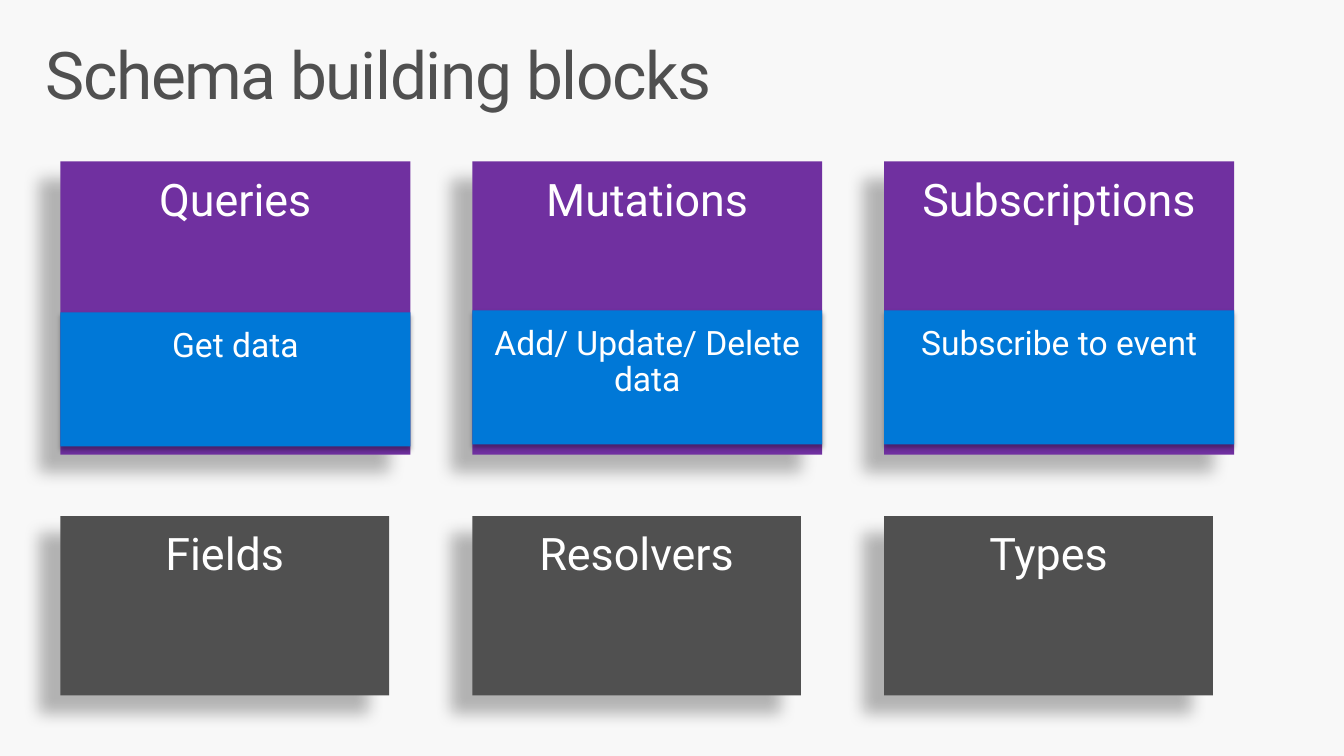
from dataclasses import dataclass

from lxml.etree import SubElement
from pptx import Presentation
from pptx.dml.color import RGBColor
from pptx.enum.shapes import MSO_SHAPE
from pptx.enum.text import MSO_ANCHOR, PP_ALIGN
from pptx.oxml.ns import qn
from pptx.shapes.base import BaseShape
from pptx.slide import Slide
from pptx.text.text import TextFrame
from pptx.util import Inches, Pt

FONT = "Roboto"
WHITE, GRAY, BLUE, PURPLE = "FFFFFF", "505050", "0078D7", "7030A0"
LEFT, STEP = 0.6, 4.085


@dataclass
class Shadow:
    alpha: int
    blur: float
    dist: float
    angle: int


@dataclass
class Row:
    top: float
    width: float
    height: float
    fill: str
    size: int
    shadow: Shadow
    labels: list[str]


DEEP = Shadow(28, 11.8, 19.7, 141)
SOFT = Shadow(32, 3.5, 2.2, 90)
ROWS = [
    Row(1.6, 3.47, 2.91, PURPLE, 32, DEEP, ["Queries", "Mutations", "Subscriptions"]),
    Row(3.08, 3.47, 1.33, BLUE, 24, SOFT,
        ["Get data", "Add/ Update/ Delete data", "Subscribe to event"]),
    Row(5.12, 3.26, 1.78, GRAY, 32, DEEP, ["Fields", "Resolvers", "Types"]),
]


def color(value: str) -> RGBColor:
    return RGBColor.from_string(value)


def write(frame: TextFrame, text: str, size: int, shade: str,
          align: PP_ALIGN, side: float, edge: float) -> None:
    frame.text = text
    frame.word_wrap = True
    frame.vertical_anchor = MSO_ANCHOR.TOP
    frame.margin_left = frame.margin_right = Inches(side)
    frame.margin_top = frame.margin_bottom = Inches(edge)
    line = frame.paragraphs[0]
    line.alignment = align
    line.line_spacing = 0.9
    font = line.runs[0].font
    font.name, font.size = FONT, Pt(size)
    font.color.rgb = color(shade)


def cast(shape: BaseShape, shadow: Shadow) -> None:
    """Give the shape an outer shadow."""
    shape.shadow.inherit = False
    effects = shape._element.spPr.find(qn("a:effectLst"))
    outer = SubElement(effects, qn("a:outerShdw"), {
        "blurRad": str(Pt(shadow.blur)),
        "dist": str(Pt(shadow.dist)),
        "dir": str(shadow.angle * 60000),
        "algn": "ctr",
        "rotWithShape": "0",
    })
    black = SubElement(outer, qn("a:srgbClr"), val="000000")
    SubElement(black, qn("a:alpha"), val=str(shadow.alpha * 1000))


def add_title(slide: Slide, text: str) -> None:
    box = slide.shapes.add_textbox(Inches(0.29), Inches(0.32), Inches(12.75), Inches(0.98))
    write(box.text_frame, text, 47, GRAY, PP_ALIGN.LEFT, 0.16, 0.1)
    run = box.text_frame.paragraphs[0].runs[0]
    run.font._element.set("spc", "-100")


def add_row(slide: Slide, row: Row) -> None:
    for col, label in enumerate(row.labels):
        # The first blue panel sits slightly lower than its neighbours.
        top = row.top + (0.02 if label == "Get data" else 0)
        block = slide.shapes.add_shape(
            MSO_SHAPE.RECTANGLE, Inches(LEFT + col * STEP), Inches(top),
            Inches(row.width), Inches(row.height))
        block.fill.solid()
        block.fill.fore_color.rgb = color(row.fill)
        block.line.fill.background()
        cast(block, row.shadow)
        write(block.text_frame, label, row.size, WHITE, PP_ALIGN.CENTER, 0.2, 0.16)


def main() -> None:
    deck = Presentation()
    deck.slide_width, deck.slide_height = Inches(13.33), Inches(7.5)
    slide = deck.slides.add_slide(deck.slide_layouts[6])
    slide.background.fill.solid()
    slide.background.fill.fore_color.rgb = color("F8F8F8")
    add_title(slide, "Schema building blocks")
    for row in ROWS:
        add_row(slide, row)
    deck.save("out.pptx")


if __name__ == "__main__":
    main()
